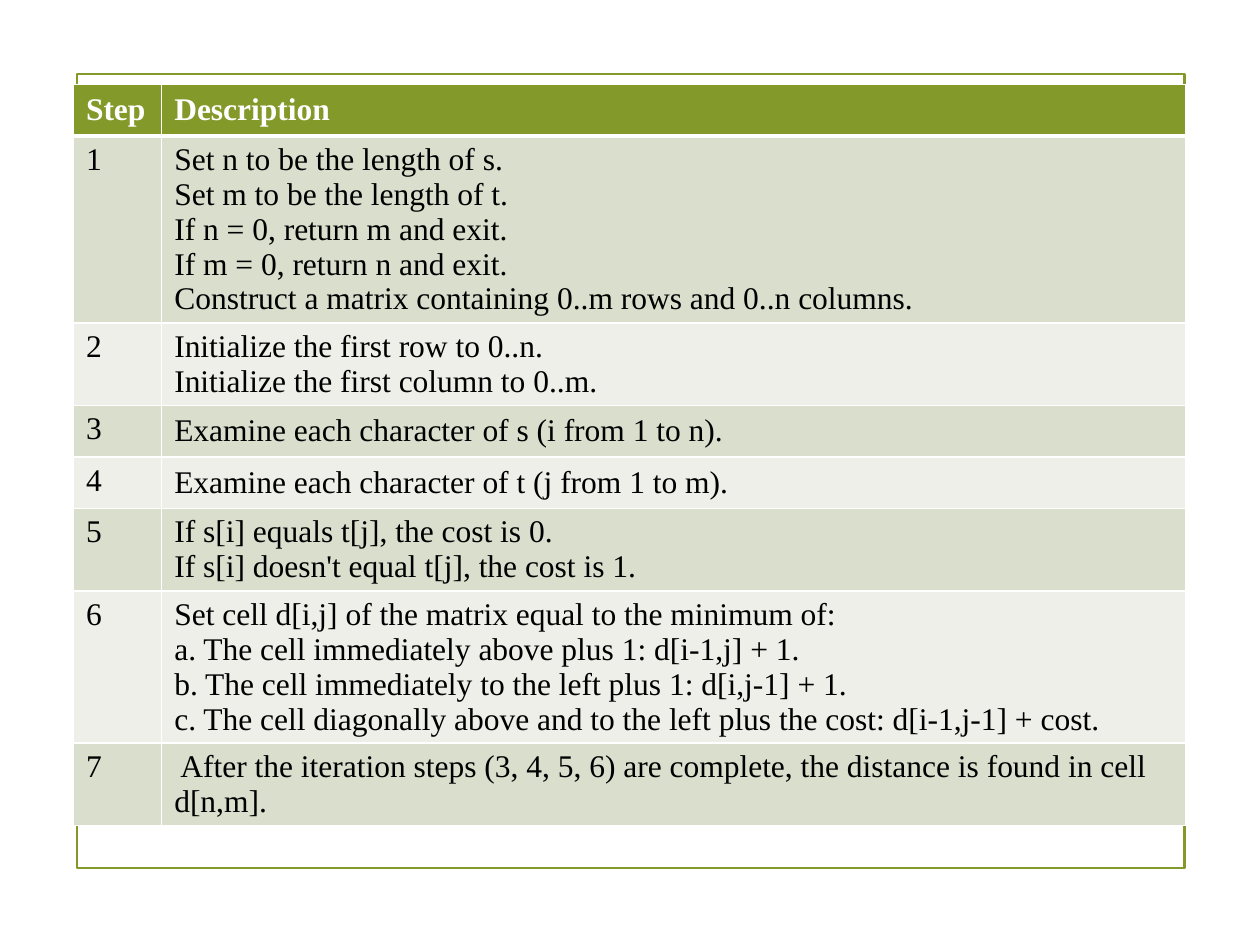
from lxml.etree import SubElement
from pptx import Presentation
from pptx.dml.color import RGBColor
from pptx.enum.shapes import MSO_SHAPE
from pptx.enum.text import MSO_ANCHOR
from pptx.oxml.ns import qn
from pptx.util import Cm, Pt

OLIVE = RGBColor(0x83, 0x99, 0x2A)
SAGE = RGBColor(0xD9, 0xDE, 0xCD)
PALE = RGBColor(0xED, 0xEF, 0xE8)
WHITE = RGBColor(0xFF, 0xFF, 0xFF)
BLACK = RGBColor(0x00, 0x00, 0x00)

COLUMN_WIDTHS = (Cm(1.78), Cm(20.65))
MINIMUM_ROW_HEIGHT = Cm(1.04)

STEPS = [
    "Set n to be the length of s.\n"
    "Set m to be the length of t.\n"
    "If n = 0, return m and exit.\n"
    "If m = 0, return n and exit.\n"
    "Construct a matrix containing 0..m rows and 0..n columns.",
    "Initialize the first row to 0..n.\n"
    "Initialize the first column to 0..m.",
    "Examine each character of s (i from 1 to n).",
    "Examine each character of t (j from 1 to m).",
    "If s[i] equals t[j], the cost is 0.\n"
    "If s[i] doesn't equal t[j], the cost is 1.",
    "Set cell d[i,j] of the matrix equal to the minimum of:\n"
    "a. The cell immediately above plus 1: d[i-1,j] + 1.\n"
    "b. The cell immediately to the left plus 1: d[i,j-1] + 1.\n"
    "c. The cell diagonally above and to the left plus the cost: "
    "d[i-1,j-1] + cost.",
    " After the iteration steps (3, 4, 5, 6) are complete, "
    "the distance is found in cell d[n,m].",
]


def add_frame(page):
    frame = page.shapes.add_shape(
        MSO_SHAPE.RECTANGLE, Cm(1.55), Cm(1.5), Cm(22.33), Cm(16))
    frame.shadow.inherit = False
    frame.fill.background()
    frame.line.color.rgb = OLIVE
    frame.line.width = Pt(1.25)


def set_borders(cell, top, bottom):
    """Draw white borders; must run before the fill, which follows them in XML."""
    properties = cell._tc.get_or_add_tcPr()
    for side, points in {"L": 1, "R": 1, "T": top, "B": bottom}.items():
        line = SubElement(properties, qn(f"a:ln{side}"), w=str(Pt(points)))
        fill = SubElement(line, qn("a:solidFill"))
        SubElement(fill, qn("a:srgbClr"), val=str(WHITE))


def fill_cell(cell, text, color, anchor, font_format):
    cell.fill.solid()
    cell.fill.fore_color.rgb = color
    cell.vertical_anchor = anchor
    para = cell.text_frame.paragraphs[0]
    para.text = text
    for span in para.runs:
        span.font.color.rgb = WHITE if font_format["bold"] else BLACK
        for name, value in font_format.items():
            setattr(span.font, name, value)


def add_steps_table(page):
    rows = [("Step", "Description")]
    rows += [(str(number), text) for number, text in enumerate(STEPS, 1)]
    holder = page.shapes.add_table(
        len(rows), 2, Cm(1.48), Cm(1.7), sum(COLUMN_WIDTHS), Cm(15.8))
    table = holder.table
    for column, width in zip(table.columns, COLUMN_WIDTHS):
        column.width = width
    for index, texts in enumerate(rows):
        table.rows[index].height = MINIMUM_ROW_HEIGHT
        header = index == 0
        color = OLIVE if header else SAGE if index % 2 else PALE
        font_format = {"name": "Times New Roman", "size": Pt(18), "bold": header}
        for column, text in enumerate(texts):
            cell = table.cell(index, column)
            set_borders(cell, 3 if index == 1 else 1, 3 if header else 1)
            centred = header or column == 1
            anchor = MSO_ANCHOR.MIDDLE if centred else MSO_ANCHOR.TOP
            fill_cell(cell, text, color, anchor, font_format)
    holder.height = Cm(15.8)


def main():
    deck = Presentation()
    deck.slide_width, deck.slide_height = Cm(25.4), Cm(19.05)
    page = deck.slides.add_slide(deck.slide_layouts[6])
    add_frame(page)
    add_steps_table(page)
    deck.save("out.pptx")


if __name__ == "__main__":
    main()
